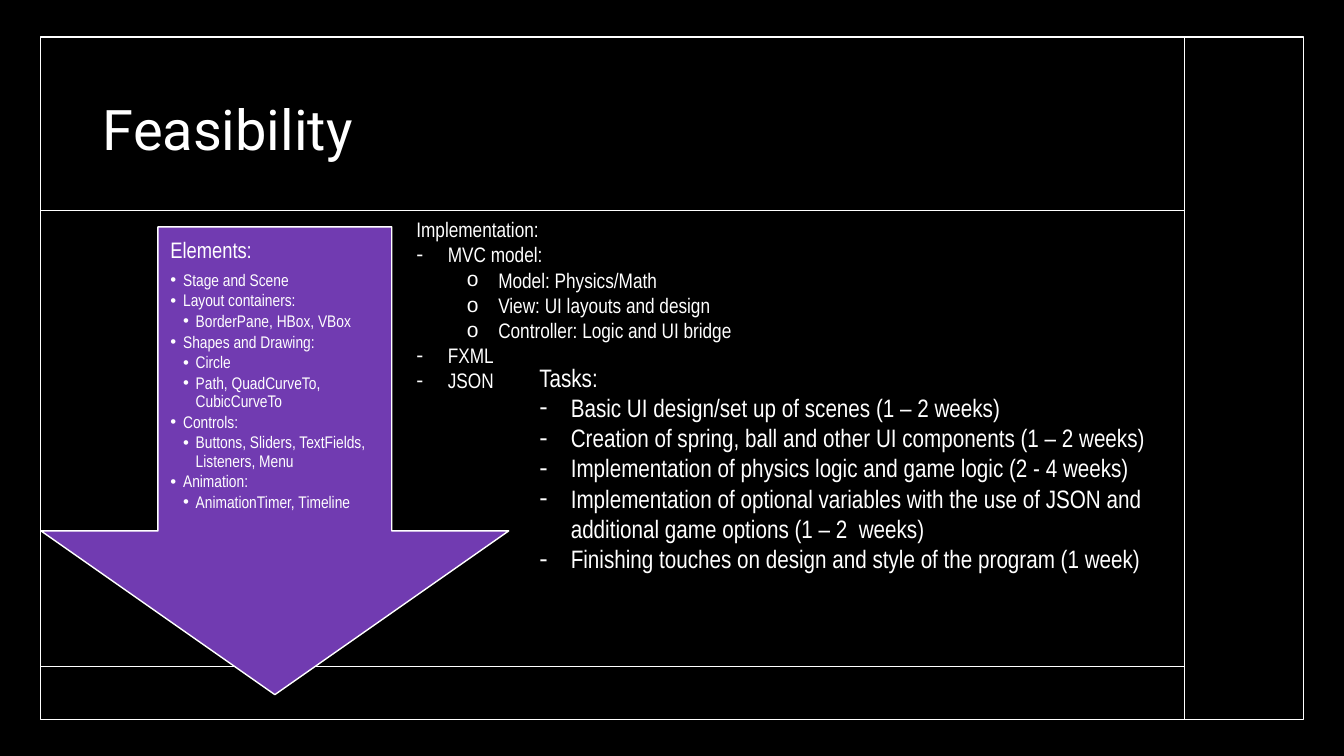
from dataclasses import dataclass

from lxml.etree import SubElement
from pptx import Presentation
from pptx.dml.color import RGBColor
from pptx.enum.shapes import MSO_CONNECTOR, MSO_SHAPE
from pptx.enum.text import MSO_ANCHOR, MSO_AUTO_SIZE, PP_ALIGN
from pptx.oxml.ns import qn
from pptx.util import Pt


@dataclass(frozen=True)
class Theme:
    back: RGBColor = RGBColor(0x00, 0x00, 0x00)
    ink: RGBColor = RGBColor(0xFF, 0xFF, 0xFF)
    arrow: RGBColor = RGBColor(0x71, 0x3B, 0xB1)
    line: float = 1
    title_font: str = "Roboto"
    body_font: str = "Arial Narrow"
    bullet_font: str = "Arial"
    title: int = 40
    tasks: int = 18
    heading: int = 16
    implementation: int = 15
    elements: int = 12


@dataclass(frozen=True)
class Box:
    x: float
    y: float
    w: float
    h: float

    def lengths(self):
        return [Pt(v) for v in (self.x, self.y, self.w, self.h)]


THEME = Theme()

IMPLEMENTATION = [
    (0, "", "Implementation:"),
    (0, "-", "MVC model:"),
    (1, "o", "Model: Physics/Math"),
    (1, "o", "View: UI layouts and design"),
    (1, "o", "Controller: Logic and UI bridge"),
    (0, "-", "FXML"),
    (0, "-", "JSON"),
]
TASKS = [
    (0, "", "Tasks:"),
    (0, "-", "Basic UI design/set up of scenes (1 – 2 weeks)"),
    (0, "-", "Creation of spring, ball and other UI components (1 – 2 weeks)"),
    (0, "-", "Implementation of physics logic and game logic (2 - 4 weeks)"),
    (0, "-", "Implementation of optional variables with the use of JSON and "
             "additional game options (1 – 2  weeks)"),
    (0, "-", "Finishing touches on design and style of the program (1 week)"),
]
ELEMENTS = [
    (0, "", "Elements:"),
    (1, "•", "Stage and Scene"),
    (1, "•", "Layout containers:"),
    (2, "•", "BorderPane, HBox, VBox"),
    (1, "•", "Shapes and Drawing:"),
    (2, "•", "Circle"),
    (2, "•", "Path, QuadCurveTo, CubicCurveTo"),
    (1, "•", "Controls:"),
    (2, "•", "Buttons, Sliders, TextFields, Listeners, Menu"),
    (1, "•", "Animation:"),
    (2, "•", "AnimationTimer, Timeline"),
]


def set_all(obj, values):
    for name, value in values.items():
        setattr(obj, name, value)


def place(sp, box):
    set_all(sp, dict(zip(("left", "top", "width", "height"), box.lengths())))


def outline(line):
    line.color.rgb = THEME.ink
    line.width = Pt(THEME.line)


def style_run(r, font, size):
    set_all(r.font, {"name": font, "size": Pt(size)})
    r.font.color.rgb = THEME.ink


def set_bullet(p, bullet, indent, hang):
    pPr = p._p.get_or_add_pPr()
    if not bullet:
        pPr.set("marL", "0")
        pPr.set("indent", "0")
        SubElement(pPr, qn("a:buNone"))
        return
    pPr.set("marL", str(Pt(indent)))
    pPr.set("indent", str(-Pt(hang)))
    SubElement(pPr, qn("a:buFont"), typeface=THEME.bullet_font)
    SubElement(pPr, qn("a:buChar"), char=bullet)


def fill_list(tf, items, size, head_size, hang, indents, spacing=1.0, after=(0, 0)):
    set_all(tf, {"word_wrap": True, "auto_size": MSO_AUTO_SIZE.NONE,
                 "vertical_anchor": MSO_ANCHOR.TOP})
    for i, (level, bullet, text) in enumerate(items):
        p = tf.paragraphs[0] if i == 0 else tf.add_paragraph()
        set_all(p, {"level": level, "alignment": PP_ALIGN.LEFT, "line_spacing": spacing,
                    "space_before": Pt(0), "space_after": Pt(after[bool(bullet)])})
        set_bullet(p, bullet, indents[level], hang)
        r = p.add_run()
        r.text = text
        style_run(r, THEME.body_font, size if bullet else head_size)


def add_frame(s, box):
    sp = s.shapes.add_shape(MSO_SHAPE.RECTANGLE, *box.lengths())
    sp.shadow.inherit = False
    sp.fill.background()
    outline(sp.line)
    split = box.x + 817.2
    header, footer = box.y + 123.9, box.y + 449.3
    rules = [(box.x, header, split, header),
             (box.x, footer, split, footer),
             (split, box.y, split, box.y + box.h)]
    for ends in rules:
        rule = s.shapes.add_connector(MSO_CONNECTOR.STRAIGHT, *map(Pt, ends))
        SubElement(rule._element.spPr, qn("a:effectLst"))
        outline(rule.line)


def add_title(s, box):
    sp = s.shapes.title
    place(sp, box)
    tf = sp.text_frame
    set_all(tf, {"word_wrap": True, "auto_size": MSO_AUTO_SIZE.NONE,
                 "vertical_anchor": MSO_ANCHOR.MIDDLE})
    p = tf.paragraphs[0]
    set_all(p, {"alignment": PP_ALIGN.LEFT, "line_spacing": 0.9})
    r = p.add_run()
    r.text = "Feasibility"
    style_run(r, THEME.title_font, THEME.title)


def add_dash_list(sp, box, items, size):
    place(sp, box)
    fill_list(sp.text_frame, items, size, size, 22.5, (22.5, 58.5))


def add_elements_arrow(s, box):
    grp = s.shapes.add_group_shape()
    arrow = grp.shapes.add_shape(MSO_SHAPE.DOWN_ARROW, *box.lengths())
    arrow.adjustments[0], arrow.adjustments[1] = 0.5, 0.35
    arrow.shadow.inherit = False
    arrow.fill.solid()
    arrow.fill.fore_color.rgb = THEME.arrow
    outline(arrow.line)

    shaft = Box(box.x + box.w / 4, box.y, box.w / 2, box.h * 0.825)
    tf = grp.shapes.add_textbox(*shaft.lengths()).text_frame
    sides = ("left", "top", "right", "bottom")
    set_all(tf, {f"margin_{side}": Pt(8.96) for side in sides})
    fill_list(tf, ELEMENTS, THEME.elements, THEME.heading, 9, (0, 9, 18),
              spacing=0.9, after=(5.6, 1.8))


def add_feasibility_slide(prs, box):
    s = prs.slides.add_slide(prs.slide_layouts[3])
    s.background.fill.solid()
    s.background.fill.fore_color.rgb = THEME.back
    left, right = [sp for sp in s.placeholders if sp.placeholder_format.idx in (1, 2)]
    add_frame(s, Box(box.x + 28.8, box.y + 26.6, box.w - 57.8, box.h - 52.6))
    add_title(s, Box(box.x + 66.2, box.y + 52.6, 585.4, 84.2))
    add_dash_list(left, Box(box.x + 290.2, box.y + 151.2, 428.4, 134.6),
                  IMPLEMENTATION, THEME.implementation)
    add_dash_list(right, Box(box.x + 378, box.y + 254.9, 463.7, 225.4),
                  TASKS, THEME.tasks)
    add_elements_arrow(s, Box(box.x + 29.3, box.y + 162.1, 334.1, 334.1))


def main():
    prs = Presentation()
    page = Box(0, 0, 960, 540)
    set_all(prs, {"slide_width": Pt(page.w), "slide_height": Pt(page.h)})
    add_feasibility_slide(prs, page)
    prs.save("out.pptx")


if __name__ == "__main__":
    main()
